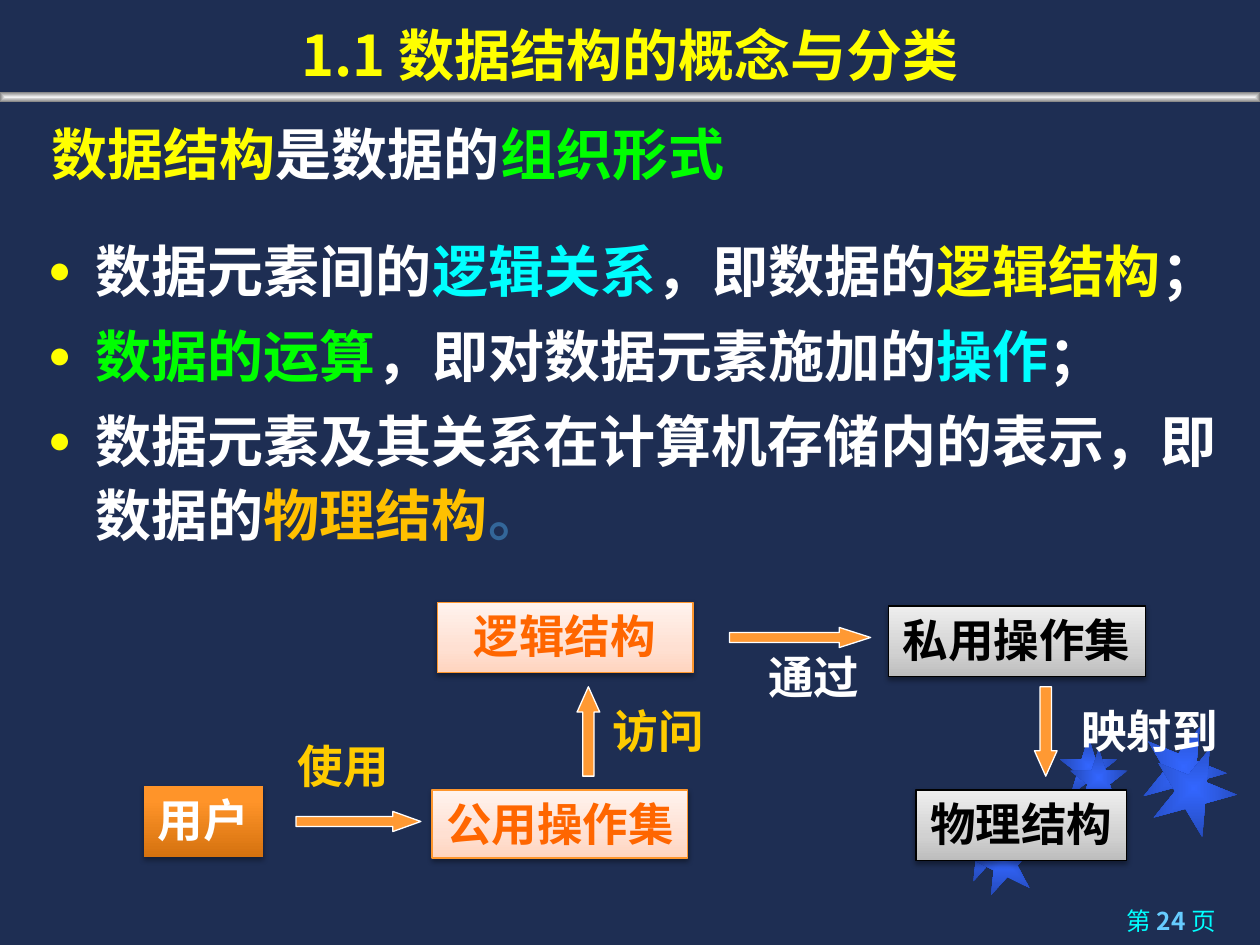
import pptx
import pptx.dml.color
import pptx.enum.shapes
import pptx.enum.text
import pptx.oxml
import pptx.oxml.ns
import pptx.util
from lxml import etree

Inches = pptx.util.Inches
Pt = pptx.util.Pt
SHAPE = pptx.enum.shapes.MSO_SHAPE
ANCHOR = pptx.enum.text.MSO_ANCHOR
ALIGN = pptx.enum.text.PP_ALIGN
qn = pptx.oxml.ns.qn

YELLOW, GREEN, CYAN, WHITE = "FFFF00", "00FF00", "00FFFF", "FFFFFF"
GOLD, ORANGE, BLACK = "FFCC00", "FF6600", "000000"
CJK = "Noto Sans CJK SC"
PEACH_FILL = [(0, "FFD4BF"), (35, "FFE0D2"), (100, "FFF3EE")]
GREY_FILL = [(0, "BDBDBD"), (35, "D1D1D1"), (100, "EEEEEE")]
USER_FILL = [(0, "D5720F"), (80, "FF9429"), (100, "FF952B")]
STAR_FILL = [(0, "3366FF"), (100, "2449B6")]
BAR_FILL = [(0, "F2F2F2"), (100, "808080")]


def rgb(value):
    return pptx.dml.color.RGBColor.from_string(value)


def sub(parent, tag, **attributes):
    return etree.SubElement(parent, qn(tag), attributes)


def place(shape, left, top, width, height):
    shape.left, shape.top = Inches(left), Inches(top)
    shape.width, shape.height = Inches(width), Inches(height)


def write(paragraph, runs, size, font, bold=True, align=None):
    paragraph.font.size = Pt(size)
    paragraph.font.name = font
    paragraph.font.bold = bold
    paragraph.alignment = align
    for text, color in runs:
        run = paragraph.add_run()
        run.text = text
        run.font.color.rgb = rgb(color)


def add_preset(slide, preset, box, line=None):
    shape = slide.shapes.add_shape(preset, *map(Inches, box))
    shape.shadow.inherit = False
    if line:
        shape.line.color.rgb = rgb(line)
        shape.line.width = Pt(0.75)
    else:
        shape.line.fill.background()
    return shape


def paint_gradient(shape, stops, radial=False):
    shape.fill.gradient()
    gradient = shape._element.spPr.find(qn("a:gradFill"))
    for child in list(gradient):
        gradient.remove(child)
    stop_list = sub(gradient, "a:gsLst")
    for position, color in stops:
        stop = sub(stop_list, "a:gs", pos=str(position * 1000))
        sub(stop, "a:srgbClr", val=color)
    if radial:
        center = sub(gradient, "a:path", path="shape")
        sub(center, "a:fillToRect", l="50000", t="50000", r="50000", b="50000")
    else:
        sub(gradient, "a:lin", ang="16200000", scaled="0")


def cast_shadow(shape, distance, opacity):
    effects = shape._element.spPr.find(qn("a:effectLst"))
    shadow = sub(effects, "a:outerShdw", blurRad=str(Pt(3.1)), dist=str(Pt(distance)),
                 dir="5400000", rotWithShape="0")
    color = sub(shadow, "a:srgbClr", val=BLACK)
    sub(color, "a:alpha", val=str(opacity * 1000))


def add_star(slide, left, top, size, rotation):
    star = add_preset(slide, SHAPE.STAR_5_POINT, (left, top, size, size))
    star.rotation = rotation
    paint_gradient(star, STAR_FILL, radial=True)


def add_node(slide, text, box, stops, color, line=None, distance=1.6, opacity=38):
    node = add_preset(slide, SHAPE.RECTANGLE, box, line)
    paint_gradient(node, stops)
    cast_shadow(node, distance, opacity)
    frame = node.text_frame
    frame.word_wrap = False
    frame.vertical_anchor = ANCHOR.TOP
    paragraph = frame.paragraphs[0]
    paragraph.space_before = Pt(5.2)
    write(paragraph, [(text, color)], 26, "Arial", align=ALIGN.CENTER)


def add_arrow(slide, preset, box, head):
    arrow = add_preset(slide, preset, box, WHITE)
    arrow.fill.solid()
    arrow.fill.fore_color.rgb = rgb("FF9933")
    arrow.adjustments[0] = 0.5
    arrow.adjustments[1] = head


def add_text(slide, box, runs, size, font, bold=True, align=ALIGN.CENTER,
             anchor=ANCHOR.TOP, before=0):
    frame = slide.shapes.add_textbox(*map(Inches, box)).text_frame
    frame.word_wrap = True
    frame.vertical_anchor = anchor
    paragraph = frame.paragraphs[0]
    paragraph.space_before = Pt(before)
    write(paragraph, runs, size, font, bold, align)
    return paragraph


def add_label(slide, text, box, color):
    add_text(slide, box, [(text, color)], 26, "Times New Roman", before=5.2)


def fill_title(title):
    place(title, 0, 0, 10, 0.75)
    title.text_frame.vertical_anchor = ANCHOR.BOTTOM
    title.text_frame.auto_size = pptx.enum.text.MSO_AUTO_SIZE.NONE
    write(title.text_frame.paragraphs[0], [("1.1 数据结构的概念与分类", YELLOW)], 32, CJK,
          align=ALIGN.CENTER)


def add_bullet(paragraph):
    properties = paragraph._p.get_or_add_pPr()
    properties.set("marL", str(Inches(0.38)))
    properties.set("indent", str(Inches(-0.38)))
    bullet_parts = [etree.Element(qn("a:buClr")),
                    etree.Element(qn("a:buSzPct"), val="70000"),
                    etree.Element(qn("a:buFont"), typeface="Arial"),
                    etree.Element(qn("a:buChar"), char="●")]
    sub(bullet_parts[0], "a:srgbClr", val=YELLOW)
    defaults = properties.find(qn("a:defRPr"))
    for part in bullet_parts:
        defaults.addprevious(part)


def fill_points(body, points):
    place(body, 0.28, 1.77, 9.76, 2.52)
    frame = body.text_frame
    frame.auto_size = pptx.enum.text.MSO_AUTO_SIZE.NONE
    frame.vertical_anchor = ANCHOR.TOP
    for index, runs in enumerate(points):
        paragraph = frame.add_paragraph() if index else frame.paragraphs[0]
        paragraph.line_spacing = 1.1
        paragraph.space_before = Pt(6.4)
        write(paragraph, runs, 32, "Arial")
        add_bullet(paragraph)


def add_backdrop(slide):
    slide.background.fill.solid()
    slide.background.fill.fore_color.rgb = rgb("1E2E53")
    for star in [(7.58, 6.47, 0.5, 349), (8.41, 5.85, 0.46, 0), (9.06, 5.75, 0.67, 22),
                 (7.72, 6.58, 0.5, 349), (8.49, 5.94, 0.46, 0), (9.14, 5.92, 0.67, 22)]:
        add_star(slide, *star)
    bar = add_preset(slide, SHAPE.RECTANGLE, (0, 0.73, 10, 0.08))
    paint_gradient(bar, BAR_FILL, radial=True)


def add_diagram(slide):
    add_node(slide, "用户", (1.14, 6.24, 0.95, 0.56), USER_FILL, WHITE,
             distance=1.8, opacity=35)
    for text, box in [("逻辑结构", (3.47, 4.78, 2.03, 0.56)),
                      ("公用操作集", (3.43, 6.27, 2.03, 0.54))]:
        add_node(slide, text, box, PEACH_FILL, ORANGE, "FE962D")
    for text, box in [("物理结构", (7.27, 6.27, 1.67, 0.56)),
                      ("私用操作集", (7.05, 4.81, 2.04, 0.56))]:
        add_node(slide, text, box, GREY_FILL, BLACK, BLACK)
    add_arrow(slide, SHAPE.RIGHT_ARROW, (2.35, 6.44, 0.99, 0.16), 1.39)
    add_arrow(slide, SHAPE.UP_ARROW, (4.58, 5.45, 0.18, 0.71), 1.12)
    add_arrow(slide, SHAPE.RIGHT_ARROW, (5.79, 4.98, 1.12, 0.16), 1.56)
    add_arrow(slide, SHAPE.DOWN_ARROW, (8.21, 5.45, 0.18, 0.71), 1.12)
    add_label(slide, "使用", (2.26, 5.81, 0.93, 0.53), GOLD)
    add_label(slide, "访问", (4.76, 5.53, 0.93, 0.53), GOLD)
    add_label(slide, "通过", (5.79, 5.1, 1.34, 0.53), WHITE)
    add_label(slide, "映射到", (8.48, 5.53, 1.29, 0.53), WHITE)


def main():
    deck = pptx.Presentation()
    deck.slide_width, deck.slide_height = Inches(10), Inches(7.5)
    slide = deck.slides.add_slide(deck.slide_layouts[1])
    add_backdrop(slide)
    fill_title(slide.shapes.title)
    add_text(slide, (-2.04, 0.88, 10.24, 0.65),
             [("数据结构", YELLOW), ("是数据的", WHITE), ("组织形式", GREEN)], 32, CJK,
             anchor=ANCHOR.BOTTOM)
    fill_points(slide.placeholders[1], [
        [("数据元素间的", WHITE), ("逻辑关系", CYAN), ("，即数据的", WHITE),
         ("逻辑结构", YELLOW), ("；", WHITE)],
        [("数据的运算", GREEN), ("，即对数据元素施加的", WHITE), ("操作", CYAN), ("；", WHITE)],
        [("数据元素及其关系在计算机存储内的表示，即数据的", WHITE),
         ("物理结构", "FFC000"), ("。", "336699")],
    ])
    add_diagram(slide)
    page = add_text(slide, (7.12, 7.14, 2.63, 0.36),
                    [("第 ", CYAN), ("24 ", "66CCFF"), ("页", CYAN)], 14, CJK,
                    bold=False, align=ALIGN.RIGHT)
    page.runs[1].font.bold = True
    deck.save("out.pptx")


if __name__ == "__main__":
    main()
